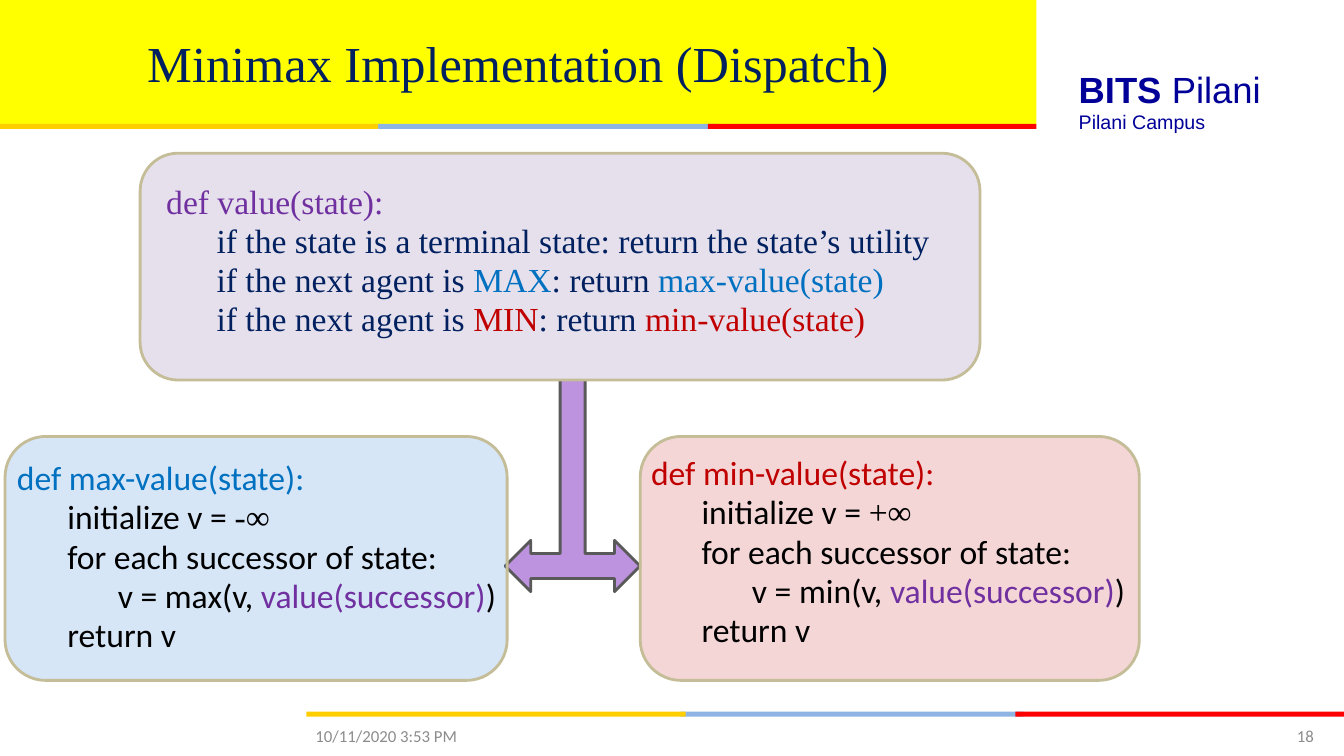
"""Builds the Minimax dispatch slide."""
from lxml import etree
from pptx import Presentation
from pptx import util as u
from pptx.dml.color import RGBColor
from pptx.enum import shapes, text
from pptx.oxml.ns import qn

PX = 9144
COLORS = {
    "yellow": "FFFF00", "gold": "FFCE00", "sky": "8EB4E3", "red": "FF0000",
    "brand": "000099", "navy": "002060", "black": "000000", "gray": "8C8C8C",
    "purple": "7030A0", "max": "0070C0", "min": "C00000", "max_fill": "0066CC",
    "lilac": "E6E0EC", "arrow": "BD92DE", "arrow_line": "595959", "tan": "C4BD97",
}
SERIF, SANS, BRAND = "Times New Roman", "Calibri", "Arial"
SHAPE = shapes.MSO_SHAPE
ANCHOR, ALIGN = text.MSO_ANCHOR, text.PP_ALIGN


class Deck:
    """Holds the style and the current slide."""

    def __init__(self):
        self.prs = Presentation()
        self.prs.slide_width = 1333 * PX
        self.prs.slide_height = 750 * PX
        self.slide = self.prs.slides.add_slide(self.prs.slide_layouts[5])

    def color(self, name):
        return RGBColor.from_string(COLORS[name])

    def fill(self, sp, name, alpha=None):
        sp.fill.solid()
        sp.fill.fore_color.rgb = self.color(name)
        if alpha:
            clr = sp.fill._xPr.find(qn("a:solidFill"))[0]
            etree.SubElement(clr, qn("a:alpha"), val=str(alpha * 1000))

    def font(self, p, name, size, color):
        p.font.name, p.font.size = name, u.Pt(size)
        p.font.color.rgb = self.color(color)

    def shape(self, kind, box, fill, line=None, alpha=None, adj=()):
        sp = self.slide.shapes.add_shape(kind, *(v * PX for v in box))
        sp.shadow.inherit = False
        self.fill(sp, fill, alpha)
        if line:
            sp.line.color.rgb = self.color(line)
            sp.line.width = u.Pt(2)
        else:
            sp.line.fill.background()
        for i, value in enumerate(adj):
            sp.adjustments[i] = value

    def title(self, box, words):
        sp = self.slide.shapes.title
        sp.left, sp.top, sp.width, sp.height = (v * PX for v in box)
        self.fill(sp, "yellow")
        tf = sp.text_frame
        tf.text = words
        tf.vertical_anchor = ANCHOR.MIDDLE
        tf.paragraphs[0].alignment = ALIGN.CENTER
        self.font(tf.paragraphs[0], SERIF, 36, "navy")

    def frame(self, box, anchor=ANCHOR.TOP):
        tf = self.slide.shapes.add_textbox(*(v * PX for v in box)).text_frame
        tf.word_wrap = True
        tf.vertical_anchor = anchor
        return tf

    def label(self, box, runs, font, size, color, anchor=ANCHOR.TOP, align=ALIGN.LEFT):
        p = self.frame(box, anchor).paragraphs[0]
        p.alignment = align
        self.font(p, font, size, color)
        for words, bold in runs:
            r = p.add_run()
            r.text = words
            if bold:
                r.font.bold = True

    def code(self, box, lines, font, color):
        tf = self.frame(box)
        tf.margin_top = tf.margin_bottom = 0
        for i, (level, runs) in enumerate(lines):
            p = tf.add_paragraph() if i else tf.paragraphs[0]
            p.level = level
            p.line_spacing = u.Pt(27.9)
            pPr = p._p.get_or_add_pPr()
            pPr.set("marL", str(level * 50 * PX))
            pPr.set("indent", "0")
            self.font(p, font, 24, color)
            for words, *style in runs:
                r = p.add_run()
                r.text = words
                for item in style:
                    if item in COLORS:
                        r.font.color.rgb = self.color(item)
                    else:
                        r.font.name = item


def search_lines(name, start):
    return [
        (0, [(f"def {name}-value(state):", name)]),
        (1, [("initialize v = ",), (start, SERIF)]),
        (1, [("for each successor of state:",)]),
        (2, [(f"v = {name}(v, ",), ("value(successor)", "purple"), (")",)]),
        (1, [("return v",)]),
    ]


def dispatch_line(name):
    return (1, [("if the next agent is ",), (name.upper(), name),
                (": return ",), (f"{name}-value(state)", name)])


def main():
    deck = Deck()
    deck.title((0, 0, 1028, 123), "Minimax Implementation (Dispatch)")

    for left, top in ((-1, 123), (304, 706)):
        for offset, width, color in ((371, 340, "sky"), (703, 326, "red"), (0, 376, "gold")):
            deck.shape(SHAPE.RECTANGLE, (left + offset, top, width, 5), color)

    deck.label((1060, 62, 273, 54), [("BITS ", True), ("Pilani", False)], BRAND, 26, "brand")
    deck.label((1060, 104, 239, 34), [("Pilani Campus", False)], BRAND, 14, "brand")

    deck.shape(SHAPE.LEFT_RIGHT_UP_ARROW, (501, 304, 134, 283), "arrow", "arrow_line",
               adj=(0.185, 0.19, 0.19))
    for box, fill, alpha in (((635, 433, 495, 242), "min", 16),
                             ((5, 433, 498, 242), "max_fill", 16),
                             ((139, 152, 833, 225), "lilac", None)):
        deck.shape(SHAPE.ROUNDED_RECTANGLE, box, fill, "tan", alpha)

    value_lines = [
        (0, [("def value(state):", "purple")]),
        (1, [("if the state is a terminal state: return the state’s utility",)]),
        dispatch_line("max"),
        dispatch_line("min"),
    ]
    deck.code((155, 181, 815, 160), value_lines, SERIF, "navy")
    deck.code((636, 450, 510, 200), search_lines("min", "+∞"), SANS, "black")
    deck.code((7, 455, 510, 200), search_lines("max", "-∞"), SANS, "black")

    deck.label((303, 710, 311, 40), [("10/11/2020 3:53 PM", False)], SANS, 12, "gray",
               ANCHOR.MIDDLE)
    deck.label((1167, 710, 146, 40), [("18", False)], SANS, 12, "gray",
               ANCHOR.MIDDLE, ALIGN.RIGHT)
    deck.prs.save("out.pptx")


if __name__ == "__main__":
    main()
